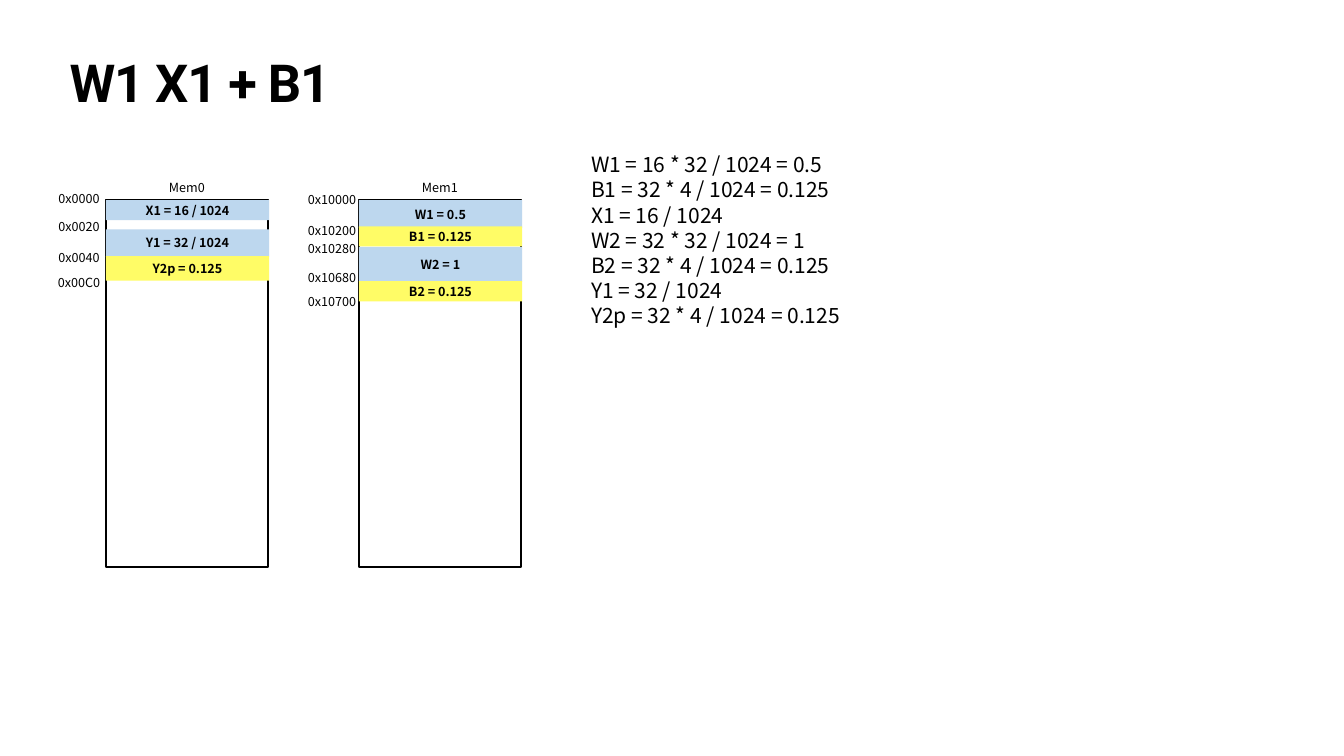
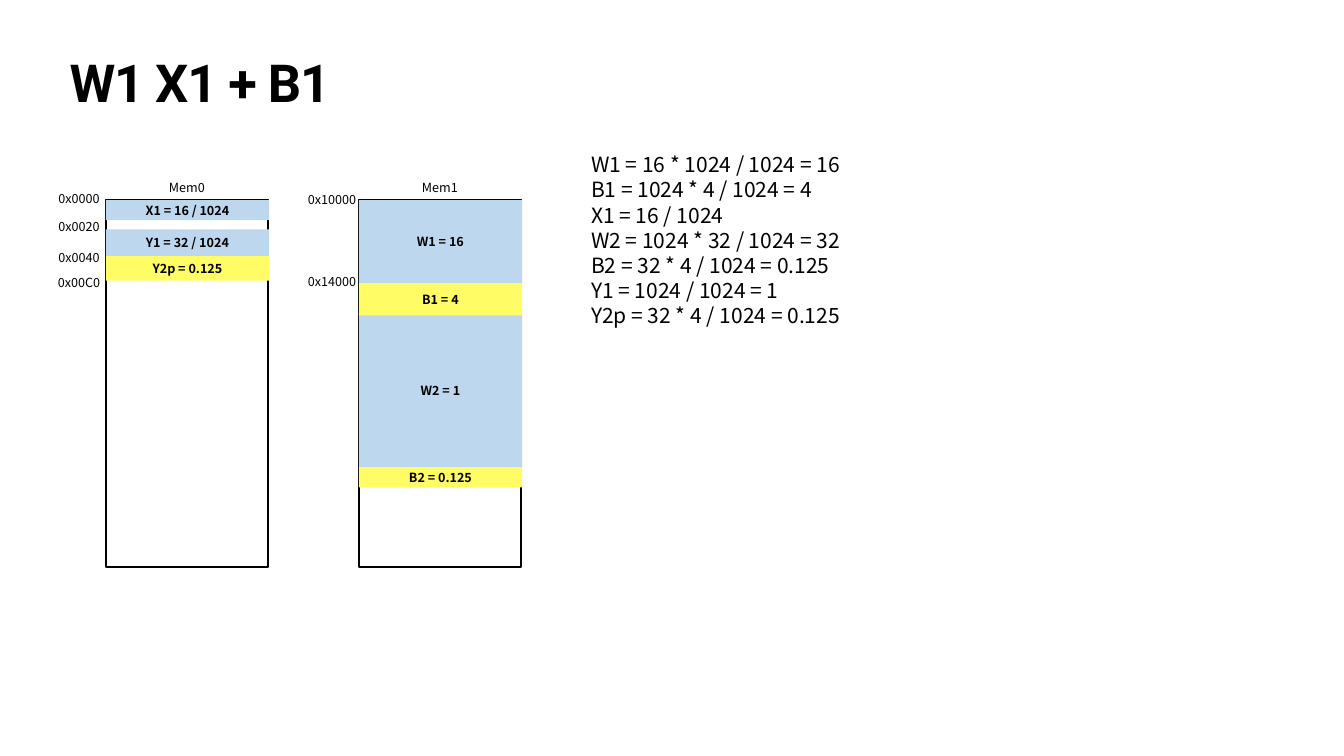
import pptx
import pptx.dml.color
import pptx.enum.shapes
import pptx.enum.text
import pptx.util
from pptx.util import Inches

BLACK = pptx.dml.color.RGBColor(0x00, 0x00, 0x00)
BLUE = pptx.dml.color.RGBColor(0xBD, 0xD7, 0xEE)
YELLOW = pptx.dml.color.RGBColor(0xFF, 0xFC, 0x66)

TITLE_FONT = "Roboto"
BODY_FONT = "Noto Sans CJK SC"
CENTER = pptx.enum.text.PP_ALIGN.CENTER
LEFT = pptx.enum.text.PP_ALIGN.LEFT

MEMORY_TOP, MEMORY_WIDTH, MEMORY_HEIGHT = 3.96, 3.22, 7.29
BLOCK_WIDTH = 3.24
LABEL_WIDTH, LABEL_HEIGHT = 1.1, 0.4
MEM0_LEFT, MEM1_LEFT = 2.1, 7.12

# Blocks are (text, top, height, colour); addresses are (text, top).
MEM0_BLOCKS = [
    ("X1 = 16 / 1024", 3.97, 0.4, BLUE),
    ("Y1 = 32 / 1024", 4.55, 0.54, BLUE),
    ("Y2p = 0.125", 5.08, 0.49, YELLOW),
]
MEM0_ADDRESSES = [("0x0000", 3.74), ("0x0020", 4.3), ("0x0040", 4.91), ("0x00C0", 5.41)]

SLIDES = [
    {
        "sizes": [
            "W1 = 16 * 32 / 1024 = 0.5",
            "B1 = 32 * 4 / 1024 = 0.125",
            "X1 = 16 / 1024",
            "W2 = 32 * 32 / 1024 = 1",
            "B2 = 32 * 4 / 1024 = 0.125",
            "Y1 = 32 / 1024",
            "Y2p = 32 * 4 / 1024 = 0.125",
        ],
        "blocks": [
            ("W2 = 1", 4.9, 0.69, BLUE),
            ("W1 = 0.5", 3.97, 0.55, BLUE),
            ("B1 = 0.125", 4.49, 0.4, YELLOW),
            ("B2 = 0.125", 5.58, 0.4, YELLOW),
        ],
        "addresses": [
            ("0x10000", 3.75),
            ("0x10200", 4.37),
            ("0x10280", 4.73),
            ("0x10680", 5.31),
            ("0x10700", 5.79),
        ],
    },
    {
        "sizes": [
            "W1 = 16 * 1024 / 1024 = 16",
            "B1 = 1024 * 4 / 1024 = 4",
            "X1 = 16 / 1024",
            "W2 = 1024 * 32 / 1024 = 32",
            "B2 = 32 * 4 / 1024 = 0.125",
            "Y1 = 1024 / 1024 = 1",
            "Y2p = 32 * 4 / 1024 = 0.125",
        ],
        "blocks": [
            ("W2 = 1", 6.21, 3.07, BLUE),
            ("W1 = 16", 3.97, 1.65, BLUE),
            ("B1 = 4", 5.62, 0.64, YELLOW),
            ("B2 = 0.125", 9.27, 0.4, YELLOW),
        ],
        "addresses": [("0x10000", 3.75), ("0x14000", 5.38)],
    },
]


class MemorySlides:
    """Draws memory maps on the current slide in one shared style."""

    def __init__(self, presentation):
        self.presentation = presentation
        self.slide = None

    def new_slide(self):
        self.slide = self.presentation.slides.add_slide(self.presentation.slide_layouts[6])

    def set_text(self, shape, lines, size, font=BODY_FONT, bold=False, align=CENTER, inset=0.05):
        frame = shape.text_frame
        frame.word_wrap = True
        frame.margin_left = frame.margin_right = Inches(inset)
        frame.margin_top = frame.margin_bottom = Inches(inset)
        frame.text = "\n".join(lines)
        for paragraph in frame.paragraphs:
            paragraph.alignment = align
            paragraph.font.name = font
            paragraph.font.size = pptx.util.Pt(size)
            paragraph.font.bold = bold
            paragraph.font.color.rgb = BLACK
        return frame

    def text_box(self, left, top, width, height):
        return self.slide.shapes.add_textbox(
            Inches(left), Inches(top), Inches(width), Inches(height))

    def title(self, text):
        box = self.text_box(1.32, 1.18, 24.03, 1.57)
        frame = self.set_text(box, [text], 74.8, TITLE_FONT, True, LEFT, 0.06)
        paragraph = frame.paragraphs[0]
        paragraph.line_spacing = 0.8
        paragraph.runs[0].font._element.set("spc", "-150")

    def label(self, text, left, top):
        box = self.text_box(left, top, LABEL_WIDTH, LABEL_HEIGHT)
        self.set_text(box, [text], 18)

    def size_list(self, lines):
        self.set_text(self.text_box(11.68, 2.96, 13.3, 4.64), lines, 30, align=LEFT)

    def rectangle(self, left, top, width, height):
        shape = self.slide.shapes.add_shape(
            pptx.enum.shapes.MSO_SHAPE.RECTANGLE,
            Inches(left), Inches(top), Inches(width), Inches(height))
        shape.shadow.inherit = False
        return shape

    def block(self, text, left, top, height, color):
        shape = self.rectangle(left, top, BLOCK_WIDTH, height)
        shape.fill.solid()
        shape.fill.fore_color.rgb = color
        shape.line.fill.background()
        frame = self.set_text(shape, [text], 18, bold=True)
        frame.vertical_anchor = pptx.enum.text.MSO_ANCHOR.MIDDLE

    def memory(self, name, left, blocks, addresses):
        """Draws a framed memory with its blocks, and its addresses on the left."""
        outline = self.rectangle(left, MEMORY_TOP, MEMORY_WIDTH, MEMORY_HEIGHT)
        outline.fill.background()
        outline.line.color.rgb = BLACK
        outline.line.width = pptx.util.Pt(2.25)
        self.label(name, left + (MEMORY_WIDTH - LABEL_WIDTH) / 2, 3.53)
        for text, top, height, color in blocks:
            self.block(text, left, top, height, color)
        for address, top in addresses:
            self.label(address, left - 1.08, top)


def main():
    presentation = pptx.Presentation()
    presentation.slide_width = Inches(26.67)
    presentation.slide_height = Inches(15)
    deck = MemorySlides(presentation)
    for content in SLIDES:
        deck.new_slide()
        deck.title("W1 X1 + B1")
        deck.memory("Mem0", MEM0_LEFT, MEM0_BLOCKS, MEM0_ADDRESSES)
        deck.memory("Mem1", MEM1_LEFT, content["blocks"], content["addresses"])
        deck.size_list(content["sizes"])
    presentation.save("out.pptx")


if __name__ == "__main__":
    main()
